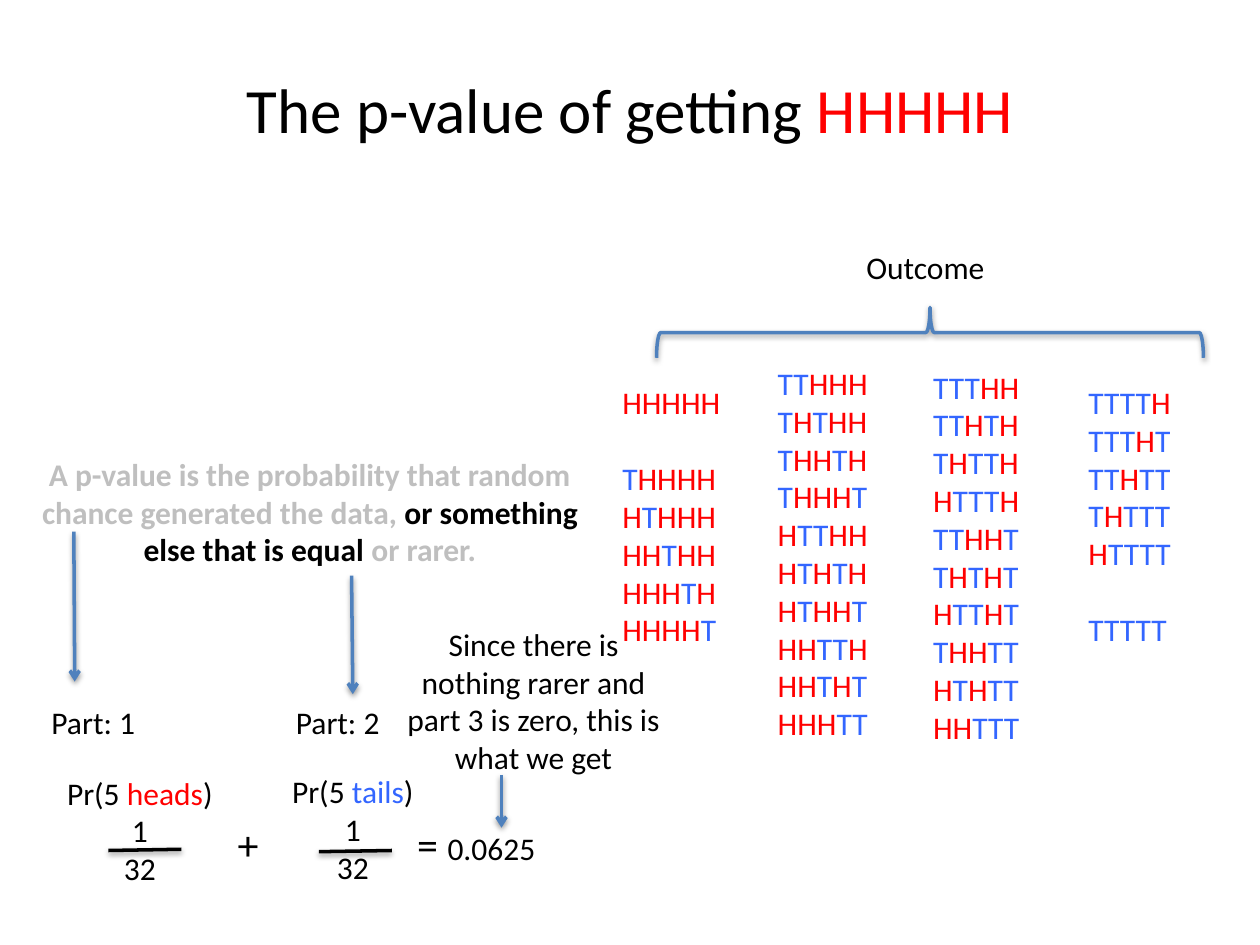
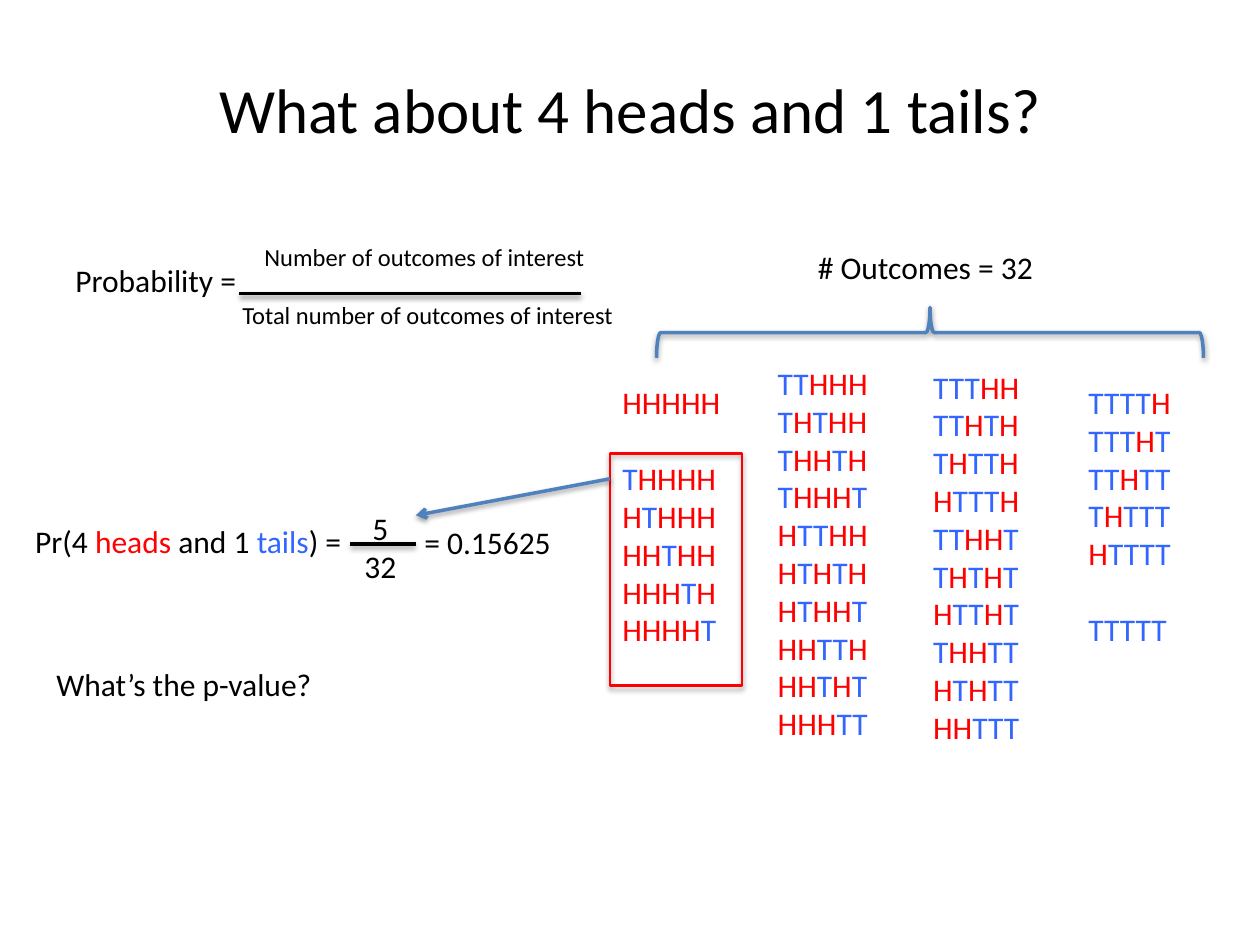
from dataclasses import dataclass
from itertools import groupby

from lxml import etree
from pptx import Presentation
from pptx.dml.color import RGBColor
from pptx.enum.shapes import MSO_CONNECTOR, MSO_SHAPE
from pptx.enum.text import MSO_ANCHOR, MSO_AUTO_SIZE, PP_ALIGN
from pptx.oxml.ns import qn
from pptx.util import Pt

LEFT, CENTER = PP_ALIGN.LEFT, PP_ALIGN.CENTER
TOP, MIDDLE = MSO_ANCHOR.TOP, MSO_ANCHOR.MIDDLE
GROW, FIXED = MSO_AUTO_SIZE.SHAPE_TO_FIT_TEXT, MSO_AUTO_SIZE.NONE
STRAIGHT = MSO_CONNECTOR.STRAIGHT
BRACE, RECTANGLE = MSO_SHAPE.LEFT_BRACE, MSO_SHAPE.RECTANGLE


@dataclass(frozen=True)
class Theme:
    font: str = "Calibri"
    ink: str = "000000"
    heads: str = "FF0000"
    tails: str = "3366FF"
    accent: str = "4F81BD"
    faded: str = "BFBFBF"
    title_size: int = 36
    sign_size: int = 24
    body_size: int = 18
    small_size: int = 14
    line_width: float = 2
    frame_width: float = 1.5


THEME = Theme()
HEADS, TAILS = ("heads", THEME.heads), ("tails", THEME.tails)

# Boxes are left, top, width, height in points.
TITLE_BOX = (36, 16.6, 648, 90)
OUTCOME_LABEL_BOX = (437, 138.2, 183.6, 29)
BRACE_BOX = (517, 33.8, 28.8, 312.5)
COLUMN_LEFT, COLUMN_STEP, COLUMN_WIDTH = 348.5, 88.8, 88.8
GROUP_GAP = 22

# Each column: top, height, then groups of outcomes set apart by a gap.
OUTCOME_COLUMNS = [
    (215.3, 181.4, ["HHHHH", "THHHH HTHHH HHTHH HHHTH HHHHT"]),
    (204.5, 269.3, ["TTHHH THTHH THHTH THHHT HTTHH HTHTH HTHHT HHTTH HHTHT HHHTT"]),
    (206.6, 269.3, ["TTTHH TTHTH THTTH HTTTH TTHHT THTHT HTTHT THHTT HTHTT HHTTT"]),
    (215.3, 203.8, ["TTTTH TTTHT TTHTT THTTT HTTTT", "TTTTT"]),
]

# A text is a list of paragraphs; a paragraph is a string or a list of runs,
# and a run is a string or a tuple of text, colour and, if it differs, size.
SLIDES = [
    {
        "title": ["The p-value of getting ", ("HHHHH", THEME.heads)],
        "outcome_label": "Outcome",
        "texts": [
            ((12.2, 256.3, 329.8, 72.7),
             [["A p-value is the probability that random chance generated the data, ",
               ("or something else that is equal", THEME.ink), " or rarer."]],
             {"color": THEME.faded, "bold": True, "align": CENTER}),
            ((22.3, 398.2, 64.8, 29), ["Part: 1"], {}),
            ((162, 398.2, 64.8, 29), ["Part: 2"], {}),
            ((28.8, 438.5, 102.2, 72.7),
             [["Pr(5 ", HEADS, ")"], "1", "32"], {"align": CENTER}),
            ((150.5, 437.8, 102.2, 72.7),
             [["Pr(5 ", TAILS, ")"], "1", "32"], {"align": CENTER}),
            ((121.7, 464.4, 40.3, 36), ["+"],
             {"size": THEME.sign_size, "align": CENTER}),
            ((219.6, 464.4, 105.1, 36),
             [["= ", ("0.0625", THEME.ink, THEME.body_size)]],
             {"size": THEME.sign_size, "align": CENTER}),
            ((220.3, 353.5, 169.2, 94.3),
             ["Since there is nothing rarer and part 3 is zero, this is what we get"],
             {"align": CENTER}),
        ],
        "arrows": [
            ((42.2, 303.8), (42.7, 389.5)),
            ((200.9, 329), (201.6, 396.7)),
            ((286.6, 442.8), (286.6, 473)),
        ],
        "fraction_bars": [
            ((61.9, 486), (103.7, 485.3)),
            ((182.2, 486.7), (223.9, 486)),
        ],
        "frames": [],
    },
    {
        "title": ["What about 4 heads and 1 tails?"],
        "outcome_label": "# Outcomes = 32",
        "texts": [
            ((144, 134.6, 207.4, 24.5), ["Number of outcomes of interest"],
             {"size": THEME.small_size}),
            ((131.4, 167.8, 246.2, 24.5), ["Total number of outcomes of interest"],
             {"size": THEME.small_size}),
            ((36, 145.4, 134.6, 29), ["Probability ="], {}),
            ((13, 294.5, 262.8, 29),
             [["Pr(4 ", HEADS, " and 1 ", TAILS, ") ="]], {}),
            ((170.6, 287.3, 93.6, 51), ["5", "32"], {"align": CENTER}),
            ((235.4, 295.2, 90, 29), ["= 0.15625"], {}),
            ((25.2, 376.6, 290.9, 29), ["What’s the p-value?"], {}),
        ],
        "arrows": [((348.5, 273.6), (237.6, 294.5))],
        "fraction_bars": [
            ((136.8, 167.8), (331.9, 167.8)),
            ((200.2, 311), (237.6, 311)),
        ],
        "frames": [(348.5, 259.2, 75.6, 132.5)],
    },
]


def points(values):
    return [Pt(value) for value in values]


def add_text(slide, box, paragraphs, *, size=THEME.body_size, color=THEME.ink,
             bold=False, align=LEFT, anchor=TOP, fit=GROW, gaps=()):
    """Add a text box; gaps holds the indexes of paragraphs with space before."""
    frame = slide.shapes.add_textbox(*points(box)).text_frame
    frame.word_wrap = True
    frame.auto_size = fit
    frame.vertical_anchor = anchor
    for index, runs in enumerate(paragraphs):
        paragraph = frame.add_paragraph() if index else frame.paragraphs[0]
        paragraph.alignment = align
        if index in gaps:
            paragraph.space_before = Pt(GROUP_GAP)
        for item in [runs] if isinstance(runs, str) else runs:
            text, run_color, run_size = (
                (item, color, size) if isinstance(item, str) else (*item, size)[:3])
            run = paragraph.add_run()
            run.text = text
            run.font.name = THEME.font
            run.font.size = Pt(run_size)
            run.font.bold = bold
            run.font.color.rgb = RGBColor.from_string(run_color)


def style_line(shape, color, width, opacity=38, distance=1.6):
    """Set the outline and the soft shadow below it."""
    shape.line.color.rgb = RGBColor.from_string(color)
    shape.line.width = Pt(width)
    effects = etree.SubElement(shape.element.spPr, qn("a:effectLst"))
    shadow = etree.SubElement(
        effects, qn("a:outerShdw"), blurRad=str(Pt(3.1)), dist=str(Pt(distance)),
        dir="5400000", rotWithShape="0")
    shadow_color = etree.SubElement(shadow, qn("a:srgbClr"), val=THEME.ink)
    etree.SubElement(shadow_color, qn("a:alpha"), val=str(opacity * 1000))


def add_line(slide, start, end, color, arrow=False):
    connector = slide.shapes.add_connector(STRAIGHT, *points(start + end))
    style_line(connector, color, THEME.line_width)
    if arrow:
        etree.SubElement(connector.line._get_or_add_ln(), qn("a:tailEnd"), type="arrow")


def add_outline(slide, kind, box, color, width, **shadow):
    shape = slide.shapes.add_shape(kind, *points(box))
    shape.fill.background()
    style_line(shape, color, width, **shadow)
    return shape


def color_tosses(outcome):
    return [("".join(letters), THEME.heads if side == "H" else THEME.tails)
            for side, letters in groupby(outcome)]


def add_outcomes(slide, label):
    brace = add_outline(slide, BRACE, BRACE_BOX, THEME.accent, THEME.line_width)
    brace.rotation = 90
    add_text(slide, OUTCOME_LABEL_BOX, [label], align=CENTER)
    for index, (top, height, groups) in enumerate(OUTCOME_COLUMNS):
        rows, gaps = [], []
        for group in groups:
            if rows:
                gaps.append(len(rows))
            rows += [color_tosses(outcome) for outcome in group.split()]
        left = COLUMN_LEFT + index * COLUMN_STEP
        add_text(slide, (left, top, COLUMN_WIDTH, height), rows, gaps=gaps)


def build_slide(presentation, content):
    slide = presentation.slides.add_slide(presentation.slide_layouts[6])
    add_text(slide, TITLE_BOX, [content["title"]], size=THEME.title_size,
             align=CENTER, anchor=MIDDLE, fit=FIXED)
    add_outcomes(slide, content["outcome_label"])
    for box, paragraphs, style in content["texts"]:
        add_text(slide, box, paragraphs, **style)
    for box in content["frames"]:
        add_outline(slide, RECTANGLE, box, THEME.heads, THEME.frame_width,
                    opacity=35, distance=1.8)
    for start, end in content["fraction_bars"]:
        add_line(slide, start, end, THEME.ink)
    for start, end in content["arrows"]:
        add_line(slide, start, end, THEME.accent, arrow=True)


def main():
    presentation = Presentation()
    presentation.slide_width, presentation.slide_height = Pt(720), Pt(540)
    for content in SLIDES:
        build_slide(presentation, content)
    presentation.save("out.pptx")


if __name__ == "__main__":
    main()
